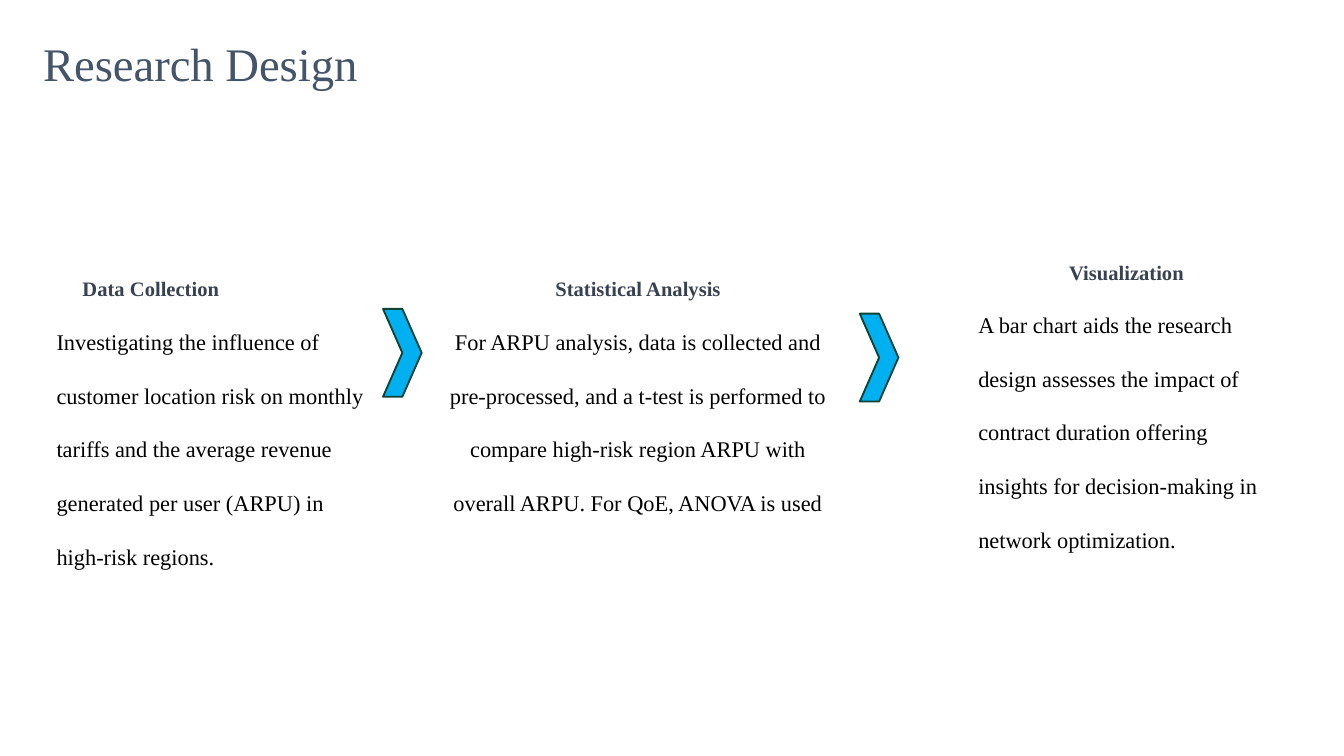
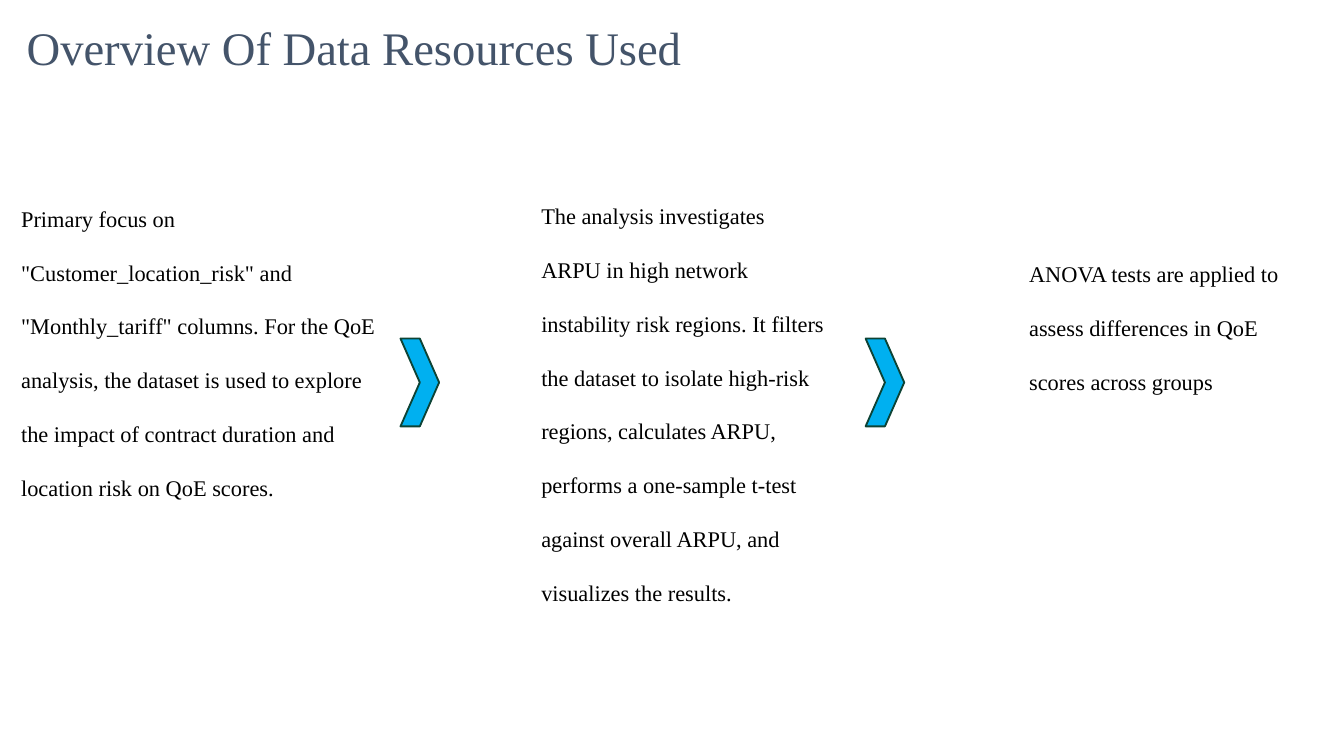
import pptx
import pptx.util
import pptx.dml.color
import pptx.enum.shapes
import pptx.enum.text

Cm = pptx.util.Cm
Pt = pptx.util.Pt
RGBColor = pptx.dml.color.RGBColor
LEFT = pptx.enum.text.PP_ALIGN.LEFT
CENTER = pptx.enum.text.PP_ALIGN.CENTER

# Shared style
FONT = "Times New Roman"
TITLE_COLOR = RGBColor(0x44, 0x54, 0x6A)
HEADING_COLOR = RGBColor(0x37, 0x41, 0x51)
BODY_COLOR = RGBColor(0x00, 0x00, 0x00)
CHEVRON_FILL = RGBColor(0x00, 0xB0, 0xF0)
CHEVRON_LINE = RGBColor(0x0D, 0x43, 0x35)
TITLE_WIDTH, TITLE_HEIGHT = 25.07, 0.94
CHEVRON_WIDTH, CHEVRON_HEIGHT = 0.73, 1.66
INSET = 0.12
LEVEL = 1.27

# Each step: box (left, top, width, height), top inset, paragraphs.
# Each paragraph: text, is heading, alignment, left margin, first-line indent.
PAGES = [
    {
        "title": "Research Design",
        "title_at": (0.56, 0.71),
        "steps": [
            ((-1.72, 4.64, 8.86, 7.26), INSET, [
                ("Data Collection", True, LEFT, 2 * LEVEL, 0.49),
                ("Investigating the influence of customer location risk on monthly "
                 "tariffs and the average revenue generated per user (ARPU) in "
                 "high-risk regions.", False, LEFT, 2 * LEVEL, 0),
            ]),
            ((8.07, 4.64, 7.98, 10.19), INSET, [
                ("Statistical Analysis", True, CENTER, 0, 0),
                ("For ARPU analysis, data is collected and pre-processed, and a "
                 "t-test is performed to compare high-risk region ARPU with overall "
                 "ARPU. For QoE, ANOVA is used", False, CENTER, 0, 0),
            ]),
            ((16.97, 4.32, 7.37, 7.04), INSET, [
                ("Visualization", True, CENTER, LEVEL, 0),
                ("A bar chart aids the research design assesses the impact of "
                 "contract duration offering insights for decision-making in "
                 "network optimization.", False, LEFT, LEVEL, 0),
            ]),
        ],
        "chevrons": [(7.24, 5.84), (16.25, 5.93)],
    },
    {
        "title": "Overview Of Data Resources Used",
        "title_at": (0.25, 0.41),
        "steps": [
            ((0.15, 1.73, 7.42, 8.46), 1.64, [
                ('Primary focus on "Customer_location_risk" and "Monthly_tariff" '
                 "columns. For the QoE analysis, the dataset is used to explore the "
                 "impact of contract duration and location risk on QoE scores.",
                 False, LEFT, 0, 0),
            ]),
            ((8.71, 2.69, 7.14, 7.44), 0.63, [
                ("The analysis investigates ARPU in high network instability risk "
                 "regions. It filters the dataset to isolate high-risk regions, "
                 "calculates ARPU, performs a one-sample t-test against overall "
                 "ARPU, and visualizes the results.", False, LEFT, LEVEL, 0),
            ]),
            ((17.93, 3.77, 7.14, 4.37), 0.64, [
                ("ANOVA tests are applied to assess differences in QoE scores "
                 "across groups", False, LEFT, LEVEL, 0),
            ]),
        ],
        "chevrons": [(7.57, 6.4), (16.36, 6.4)],
    },
]


def style_font(para, size, color, bold=False):
    para.font.name = FONT
    para.font.size = Pt(size)
    para.font.color.rgb = color
    para.font.bold = bold


deck = pptx.Presentation()
deck.slide_width = Cm(25.4)
deck.slide_height = Cm(14.29)

for content in PAGES:
    page = deck.slides.add_slide(deck.slide_layouts[5])

    # Title
    title = page.shapes.title
    title.left, title.top = [Cm(value) for value in content["title_at"]]
    title.width, title.height = Cm(TITLE_WIDTH), Cm(TITLE_HEIGHT)
    title.text_frame.text = content["title"]
    title.text_frame.vertical_anchor = pptx.enum.text.MSO_ANCHOR.MIDDLE
    title.text_frame.auto_size = pptx.enum.text.MSO_AUTO_SIZE.NONE
    title_para = title.text_frame.paragraphs[0]
    title_para.alignment = LEFT
    style_font(title_para, 25, TITLE_COLOR)

    # Step texts
    for bounds, top_inset, lines in content["steps"]:
        box = page.shapes.add_textbox(*[Cm(value) for value in bounds])
        frame = box.text_frame
        frame.word_wrap = True
        frame.margin_top = Cm(top_inset)
        for index, (text, is_heading, alignment, margin, indent) in enumerate(lines):
            para = frame.add_paragraph() if index else frame.paragraphs[0]
            para.text = text
            para.alignment = alignment
            para.line_spacing = 2.0
            properties = para._p.get_or_add_pPr()
            properties.set("marL", str(Cm(margin)))
            properties.set("indent", str(Cm(indent)))
            if is_heading:
                style_font(para, 11, HEADING_COLOR, bold=True)
            else:
                style_font(para, 12, BODY_COLOR)

    # Chevrons between the steps
    for left, top in content["chevrons"]:
        chevron = page.shapes.add_shape(
            pptx.enum.shapes.MSO_SHAPE.CHEVRON,
            Cm(left), Cm(top), Cm(CHEVRON_WIDTH), Cm(CHEVRON_HEIGHT))
        chevron.shadow.inherit = False
        chevron.fill.solid()
        chevron.fill.fore_color.rgb = CHEVRON_FILL
        chevron.line.color.rgb = CHEVRON_LINE
        chevron.line.width = Pt(1)

deck.save("out.pptx")
